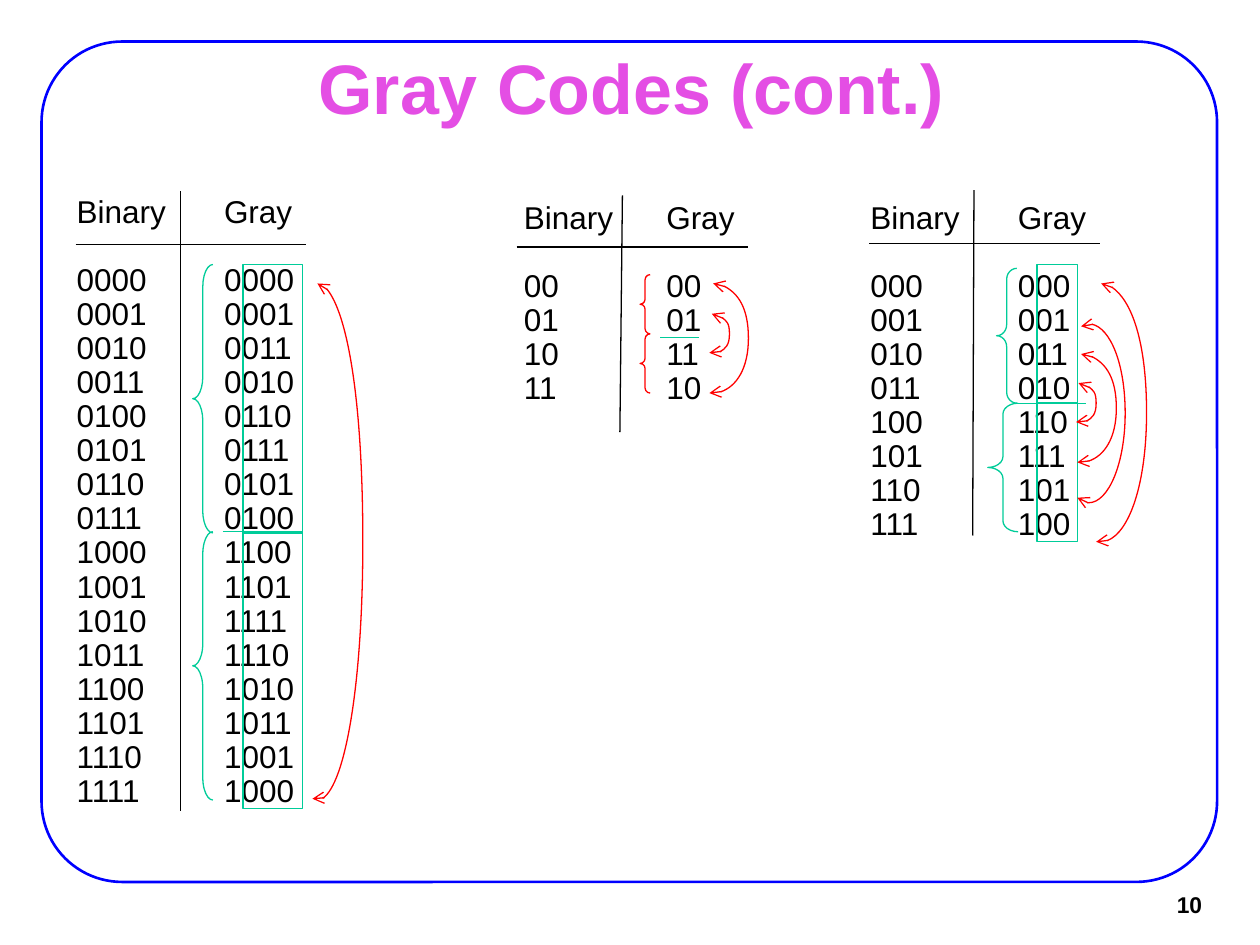
from lxml.etree import SubElement
from pptx import Presentation
from pptx.dml.color import RGBColor
from pptx.enum.shapes import MSO_CONNECTOR, MSO_SHAPE
from pptx.enum.text import MSO_ANCHOR, MSO_AUTO_SIZE, PP_ALIGN
from pptx.oxml.ns import qn
from pptx.util import Inches, Pt

BLACK, BLUE, GREEN, RED, PINK = "000000", "0000FF", "00CC99", "FF0000", "E44EE4"
CURVE = 0.5523


def colour(code):
    return RGBColor.from_string(code)


class GrayCodePage:
    """Holds the style and the current slide, and draws each kind of element."""

    font = "Arial"
    thin = 0.75

    def __init__(self, deck):
        self.shapes = deck.slides.add_slide(deck.slide_layouts[6]).shapes

    def text(self, place, lines, size=18, code=BLACK, bold=False, align=PP_ALIGN.LEFT,
             wrap=False, inset=(0.1, 0.05)):
        box = self.shapes.add_textbox(*map(Inches, place))
        frame = box.text_frame
        frame.text = "\n".join(lines)
        frame.word_wrap = wrap
        frame.vertical_anchor = MSO_ANCHOR.MIDDLE
        frame.margin_left = frame.margin_right = Inches(inset[0])
        frame.margin_top = frame.margin_bottom = Inches(inset[1])
        for para in frame.paragraphs:
            para.alignment = align
            for span in para.runs:
                span.font.name = self.font
                span.font.size = Pt(size)
                span.font.bold = bold
                span.font.color.rgb = colour(code)
        return frame

    def column(self, place, heading, codes):
        frame = self.text(place, [heading, *codes])
        frame.auto_size = MSO_AUTO_SIZE.SHAPE_TO_FIT_TEXT
        for para in frame.paragraphs:
            para.line_spacing = 0.9
        frame.paragraphs[0].space_after = Pt(19.4)

    def code_table(self, bits, top, height, binary_left, gray_left, gray_width):
        numbers = range(2 ** bits)
        binary = [f"{n:0{bits}b}" for n in numbers]
        gray = [f"{n ^ n >> 1:0{bits}b}" for n in numbers]
        self.column((binary_left, top, 0.91, height), "Binary", binary)
        self.column((gray_left, top, gray_width, height), "Gray", gray)

    def line(self, start, end, code=BLACK):
        line = self.shapes.add_connector(
            MSO_CONNECTOR.STRAIGHT, *map(Inches, (*start, *end)))
        line.line.color.rgb = colour(code)
        line.line.width = Pt(self.thin)
        SubElement(line._element.spPr, qn("a:effectLst"))

    def outline(self, shape, code, width=thin):
        shape.fill.background()
        shape.line.color.rgb = colour(code)
        shape.line.width = Pt(width)
        shape.shadow.inherit = False

    def shape(self, kind, place, code, adjust=(), width=thin):
        shape = self.shapes.add_shape(kind, *map(Inches, place))
        for index, value in enumerate(adjust):
            shape.adjustments[index] = value
        self.outline(shape, code, width)

    def brace(self, place, code, curl):
        self.shape(MSO_SHAPE.LEFT_BRACE, place, code, (curl, 0.5))

    def swap_arc(self, x, right, top, bottom, tail, lead=None):
        middle = (top + bottom) / 2
        bend_x, bend_y = (right - x) * CURVE, (bottom - top) / 2 * CURVE
        points = [(x, top),
                  (x + bend_x, top), (right, middle - bend_y), (right, middle),
                  (right, middle + bend_y), (x + bend_x, bottom), (x, bottom),
                  (x - 0.01, bottom), ((x + tail[0]) / 2, bottom), tail]
        if lead:
            points = [lead, ((x + lead[0]) / 2, top), (x - 0.02, top)] + points
        points = [(Inches(across), Inches(down)) for across, down in points]
        builder = self.shapes.build_freeform(*points[0])
        builder.add_line_segments(points[1:], close=False)
        arc = builder.convert_to_shape()
        self.outline(arc, RED)
        outline = arc._element.spPr.find(".//" + qn("a:path"))
        segments = outline.findall(qn("a:lnTo"))
        for first in range(0, len(segments), 3):
            bend = SubElement(outline, qn("a:cubicBezTo"))
            for segment in segments[first:first + 3]:
                bend.append(segment[0])
                outline.remove(segment)
        stroke = arc.line._get_or_add_ln()
        for end in ("a:headEnd", "a:tailEnd"):
            SubElement(stroke, qn(end), type="arrow")


def main():
    deck = Presentation()
    deck.slide_width, deck.slide_height = Inches(10), Inches(7.5)
    page = GrayCodePage(deck)

    page.shape(MSO_SHAPE.ROUNDED_RECTANGLE, (0.33, 0.33, 9.33, 6.67), BLUE, (0.096,), 1.5)
    page.text((9.02, 6.99, 0.61, 0.37), ["10"], 13, bold=True, align=PP_ALIGN.RIGHT,
              inset=(0.09, 0.04))
    page.text((0.76, 0.44, 8.5, 0.49), ["Gray Codes (cont.)"], 40, PINK, True,
              PP_ALIGN.CENTER, True, (0.11, 0.06))

    page.code_table(4, 1.5, 4.98, 0.51, 1.68, 0.76)
    page.code_table(2, 1.55, 1.73, 4.06, 5.19, 0.74)
    page.code_table(3, 1.55, 2.81, 6.81, 7.98, 0.74)

    for start, end in (((0.6, 1.94), (2.43, 1.94)), ((1.43, 1.52), (1.43, 6.44)),
                       ((4.1, 1.96), (5.94, 1.96)), ((4.94, 1.55), (4.92, 3.43)),
                       ((6.9, 1.93), (8.73, 1.93)), ((7.73, 1.51), (7.72, 4.25))):
        page.line(start, end)
    for left, right, y in ((5.24, 5.55, 2.68), (8.07, 8.62, 3.2), (1.77, 2.32, 4.22)):
        page.line((left, y), (right, y), GREEN)

    for place, code, curl in (((5.08, 2.18, 0.08, 0.47), RED, 0.5),
                              ((5.08, 2.65, 0.08, 0.47), RED, 0.5),
                              ((7.91, 2.13, 0.16, 1.07), GREEN, 0.55),
                              ((7.84, 3.2, 0.24, 1.02), GREEN, 0.36),
                              ((1.53, 2.1, 0.16, 2.13), GREEN, 1.1),
                              ((1.53, 4.22, 0.16, 2.13), GREEN, 1.12)):
        page.brace(place, code, curl)

    for place in ((8.23, 2.1, 0.32, 1.1), (8.23, 3.2, 0.32, 1.1),
                  (1.93, 2.1, 0.47, 2.13), (1.93, 4.22, 0.47, 2.2)):
        page.shape(MSO_SHAPE.RECTANGLE, place, GREEN)

    page.swap_arc(5.66, 5.94, 2.25, 3.12, (5.63, 3.12))
    page.swap_arc(5.65, 5.79, 2.49, 2.81, (5.63, 2.8))
    page.swap_arc(8.56, 8.7, 3.04, 3.36, (8.54, 3.35))
    page.swap_arc(8.58, 8.86, 2.81, 3.67, (8.55, 3.67))
    page.swap_arc(8.64, 8.93, 2.57, 3.99, (8.55, 3.95), (8.58, 2.59))
    page.swap_arc(8.74, 9.1, 2.25, 4.3, (8.7, 4.3))
    page.swap_arc(2.52, 2.88, 2.25, 6.35, (2.48, 6.34))

    deck.save("out.pptx")


if __name__ == "__main__":
    main()
